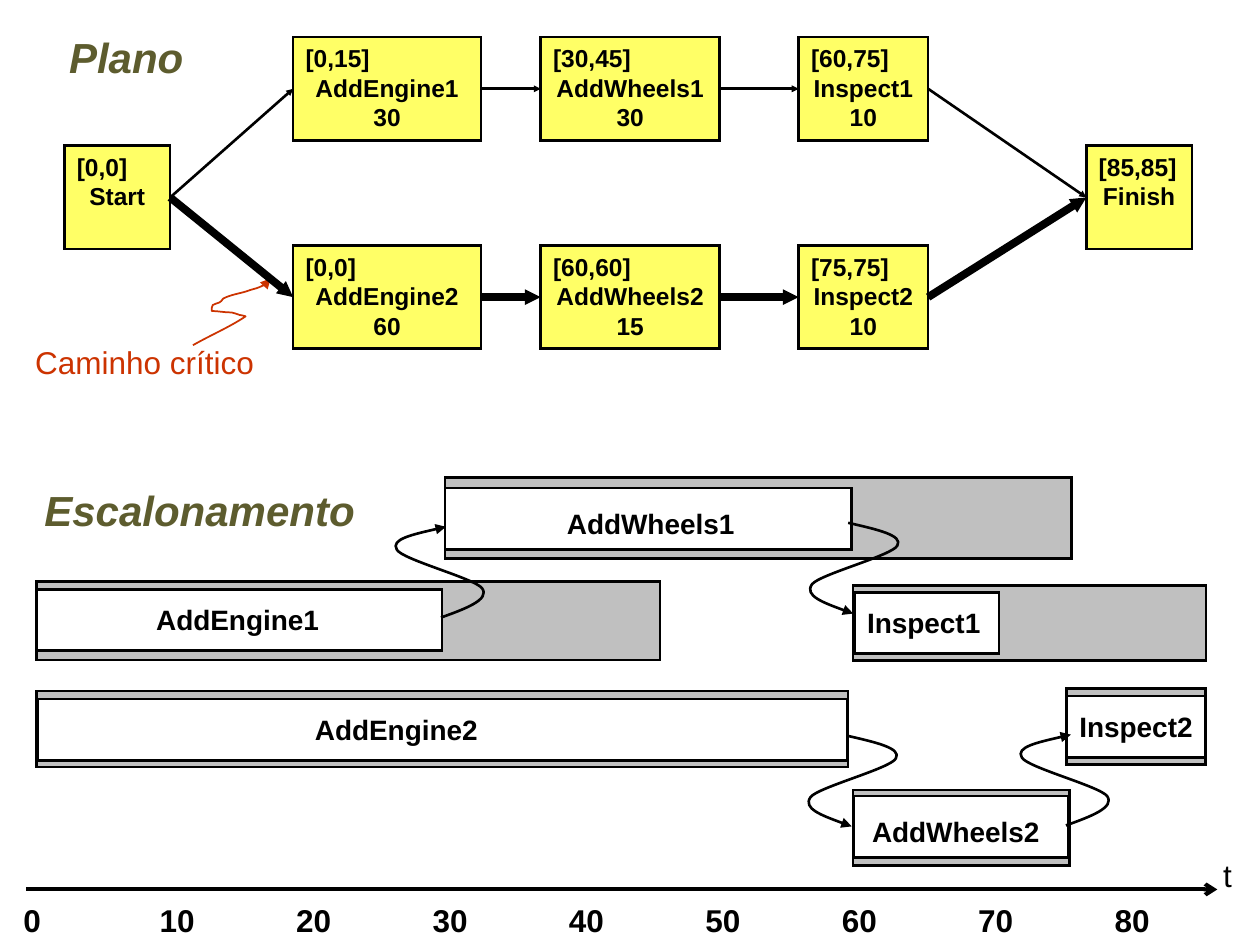
from lxml.etree import SubElement
from pptx import Presentation
from pptx.dml.color import RGBColor
from pptx.enum.shapes import MSO_CONNECTOR, MSO_SHAPE
from pptx.enum.text import MSO_ANCHOR, MSO_AUTO_SIZE, PP_ALIGN
from pptx.oxml.ns import qn
from pptx.util import Cm, Pt

BLACK = RGBColor(0x00, 0x00, 0x00)
WHITE = RGBColor(0xFF, 0xFF, 0xFF)
YELLOW = RGBColor(0xFF, 0xFF, 0x66)
GREY = RGBColor(0xC0, 0xC0, 0xC0)
RED = RGBColor(0xCC, 0x33, 0x00)
OLIVE = RGBColor(0x5D, 0x5C, 0x2E)
FONT = "Arial"

# Plan steps: key, left, top, width, text lines
STEPS = [
    ("Start", 1.3, 2.94, 2.13, ["[0,0]", "Start"]),
    ("AddEngine1", 5.91, 0.75, 3.79, ["[0,15]", "AddEngine1", "30"]),
    ("AddEngine2", 5.91, 4.95, 3.79, ["[0,0]", "AddEngine2", "60"]),
    ("AddWheels1", 10.9, 0.75, 3.61, ["[30,45]", "AddWheels1", "30"]),
    ("AddWheels2", 10.9, 4.95, 3.61, ["[60,60]", "AddWheels2", "15"]),
    ("Inspect1", 16.1, 0.75, 2.61, ["[60,75]", "Inspect1", "10"]),
    ("Inspect2", 16.1, 4.95, 2.61, ["[75,75]", "Inspect2", "10"]),
    ("Finish", 21.9, 2.94, 2.13, ["[85,85]", "Finish"]),
]
STEP_HEIGHT = 2.08
# Branches through the plan: line width in points, steps in order
BRANCHES = [
    (1.5, ["Start", "AddEngine1", "AddWheels1", "Inspect1", "Finish"]),
    (4.5, ["Start", "AddEngine2", "AddWheels2", "Inspect2", "Finish"]),
]
# Schedule: name, window (left, top, width, height), bar (left, top, width),
# label (left, top, width)
SCHEDULE = [
    ("AddEngine2", (0.74, 13.93, 16.36, 1.53), (0.76, 14.09, 16.33), (6.1, 14.23, 4.39)),
    ("AddEngine1", (0.74, 11.72, 12.57, 1.59), (0.74, 11.88, 8.17), (2.9, 12.02, 4.39)),
    ("AddWheels1", (8.97, 9.63, 12.63, 1.63), (8.97, 9.84, 8.2), (11.18, 10.08, 4.39)),
    ("Inspect1", (17.2, 11.8, 7.11, 1.52), (17.23, 11.94, 2.91), (17.23, 12.09, 2.84)),
    ("AddWheels2", (17.2, 15.93, 4.36, 1.52), (17.22, 16.05, 4.32), (17.33, 16.3, 4.39)),
    ("Inspect2", (21.5, 13.88, 2.8, 1.53), (21.5, 14.03, 2.8), (21.51, 14.17, 2.84)),
]
BAR_HEIGHT = 1.24
TICK_GAP = 2.75
# S-shaped link: start point, then two controls and an end for each Bezier piece
LINK = [
    (1.02, 1.83),
    (1.52, 1.65), (2.01, 1.47), (1.85, 1.24),
    (1.7, 1.04), (0.23, 0.66), (0.13, 0.46),
    (0, 0.25), (0.56, 0.13), (1.12, 0),
]
# Placed links: x origin, top, x direction, end that carries the arrowhead
LINKS = [
    (7.87, 10.62, 1, "tailEnd"),
    (20.47, 14.81, 1, "tailEnd"),
    (18.22, 10.54, -1, "headEnd"),
    (18.19, 14.83, -1, "headEnd"),
]
CRITICAL_POINTER = [
    (3.89, 6.96),
    (4.24, 6.76), (4.62, 6.6), (4.95, 6.38),
    (4.98, 6.38), (4.85, 6.35), (4.83, 6.35),
    (4.78, 6.32), (4.72, 6.32), (4.67, 6.3),
    (4.52, 6.3), (4.39, 6.27), (4.27, 6.27),
    (4.27, 6.22), (4.27, 6.17), (4.29, 6.15),
    (4.32, 6.12), (4.39, 6.12), (4.42, 6.1),
    (4.45, 6.1), (4.47, 6.05), (4.5, 6.02),
    (4.65, 5.94), (4.83, 5.92), (4.98, 5.87),
    (5.05, 5.84), (5.16, 5.82), (5.23, 5.79),
    (5.26, 5.77), (5.36, 5.74), (5.36, 5.74),
    (5.44, 5.61), (5.38, 5.61), (5.46, 5.61),
]


def format_runs(paragraph, size, color=BLACK, bold=True, italic=False):
    """Set the font of every run in a paragraph."""
    for run in paragraph.runs:
        font = run.font
        font.name, font.size, font.bold, font.italic = FONT, Pt(size), bold, italic
        font.color.rgb = color


def style_line(outline, width, color=BLACK, arrow_end=None, head="triangle", head_size="med"):
    """Set a line's colour, width and joins, and give it an arrowhead if asked."""
    outline.line.color.rgb = color
    outline.line.width = Pt(width)
    ln = outline._element.spPr.find(qn("a:ln"))
    if arrow_end:
        SubElement(ln, qn("a:round"))
        SubElement(ln, qn("a:" + arrow_end), type=head, w=head_size, len=head_size)
    else:
        SubElement(ln, qn("a:miter"), lim="800000")


def add_box(slide, left, top, width, height, fill):
    """Add a filled, black-edged rectangle."""
    box = slide.shapes.add_shape(MSO_SHAPE.RECTANGLE, Cm(left), Cm(top), Cm(width), Cm(height))
    box.shadow.inherit = False
    box.fill.solid()
    box.fill.fore_color.rgb = fill
    style_line(box, 1.5)
    return box


def add_label(slide, text, left, top, width, size, color=BLACK, bold=True, wrap=False):
    """Add a one-line text box and return its paragraph."""
    height = 1.02 if size == 18 else 0.94
    label = slide.shapes.add_textbox(Cm(left), Cm(top), Cm(width), Cm(height))
    frame = label.text_frame
    frame.word_wrap = wrap
    frame.auto_size = MSO_AUTO_SIZE.SHAPE_TO_FIT_TEXT
    frame.text = text
    paragraph = frame.paragraphs[0]
    format_runs(paragraph, size, color, bold)
    return paragraph


def format_heading(heading, text, left, top, width):
    """Place a section heading and set its text."""
    heading.left, heading.top, heading.width, heading.height = Cm(left), Cm(top), Cm(width), Cm(1.02)
    heading.fill.solid()
    heading.fill.fore_color.rgb = WHITE
    frame = heading.text_frame
    frame.word_wrap = True
    frame.auto_size = MSO_AUTO_SIZE.NONE
    frame.vertical_anchor = MSO_ANCHOR.TOP
    frame.margin_left = frame.margin_right = Cm(0.18)
    frame.margin_top = frame.margin_bottom = Cm(0.08)
    frame.text = text
    paragraph = frame.paragraphs[0]
    paragraph.alignment = PP_ALIGN.CENTER
    paragraph.line_spacing = 0.85
    format_runs(paragraph, 24, OLIVE, italic=True)


def add_step(slide, left, top, width, lines):
    """Add a plan step with its time interval, name and duration."""
    step = add_box(slide, left, top, width, STEP_HEIGHT, YELLOW)
    frame = step.text_frame
    frame.word_wrap = True
    frame.vertical_anchor = MSO_ANCHOR.TOP
    frame.text = "\n".join(lines)
    for index, paragraph in enumerate(frame.paragraphs):
        paragraph.alignment = PP_ALIGN.CENTER if index else PP_ALIGN.LEFT
        format_runs(paragraph, 14)
    return step


def add_arrow(slide, start, end, width, head="triangle", head_size="med"):
    """Add a straight arrow between two points given in EMU."""
    arrow = slide.shapes.add_connector(MSO_CONNECTOR.STRAIGHT, *start, *end)
    style_line(arrow, width, arrow_end="tailEnd", head=head, head_size=head_size)
    SubElement(arrow._element.spPr, qn("a:effectLst"))
    return arrow


def add_curve(slide, points, width, color, arrow_end):
    """Add an open curve of cubic Bezier pieces, points in centimetres."""
    corners = [(Cm(x), Cm(y)) for x, y in points]
    builder = slide.shapes.build_freeform(*corners[0])
    builder.add_line_segments(corners[1:], close=False)
    curve = builder.convert_to_shape()
    outline = next(curve._element.iter(qn("a:path")))
    segments = outline.findall(qn("a:lnTo"))
    for i in range(0, len(segments), 3):
        piece = SubElement(outline, qn("a:cubicBezTo"))
        for segment in segments[i:i + 3]:
            piece.append(segment[0])
            outline.remove(segment)
    curve.shadow.inherit = False
    curve.fill.background()
    style_line(curve, width, color, arrow_end)


def draw_plan(slide):
    """Draw the plan network and the critical path note."""
    add_label(slide, "Caminho crítico", 0.46, 6.79, 4.93, 18, RED, bold=False)
    add_curve(slide, CRITICAL_POINTER, 1, RED, "tailEnd")
    steps = {key: add_step(slide, *rest) for key, *rest in STEPS}
    for width, keys in BRANCHES:
        for source, target in zip(keys, keys[1:]):
            arrow = add_arrow(slide, (0, 0), (0, 0), width, head_size="sm")
            arrow.begin_connect(steps[source], 3)
            arrow.end_connect(steps[target], 1)


def draw_axis(slide):
    """Draw the time axis with its tick labels."""
    add_arrow(slide, (Cm(0.53), Cm(17.93)), (Cm(24.54), Cm(17.93)), 2.25, "arrow")
    ticks = add_label(slide, "\t".join(str(t) for t in range(0, 90, 10)), 0.22, 18.03, 23.24, 18)
    tab_list = SubElement(ticks._p.get_or_add_pPr(), qn("a:tabLst"))
    for i in range(1, 9):
        SubElement(tab_list, qn("a:tab"), pos=str(Cm(TICK_GAP * i)), algn="l")
    add_label(slide, "t", 24.41, 17.14, 0.69, 18, bold=False)


def draw_schedule(slide):
    """Draw the schedule bars in their windows, and the links."""
    draw_axis(slide)
    for name, window, bar, label in SCHEDULE:
        add_box(slide, *window, GREY)
        add_box(slide, *bar, BAR_HEIGHT, WHITE)
        add_label(slide, name, *label, 16, wrap=True)
    for origin, top, direction, arrow_end in LINKS:
        points = [(origin + direction * x, top + y) for x, y in LINK]
        add_curve(slide, points, 1.5, BLACK, arrow_end)


def main():
    """Build and save the slide."""
    deck = Presentation()
    deck.slide_width, deck.slide_height = Cm(25.4), Cm(19.05)
    slide = deck.slides.add_slide(deck.slide_layouts[5])
    format_heading(slide.shapes.title, "Plano", 0.69, 0.71, 3.71)
    draw_plan(slide)
    draw_schedule(slide)
    format_heading(slide.shapes.add_textbox(0, 0, 0, 0), "Escalonamento", 0.66, 9.85, 6.73)
    deck.save("out.pptx")


main()
